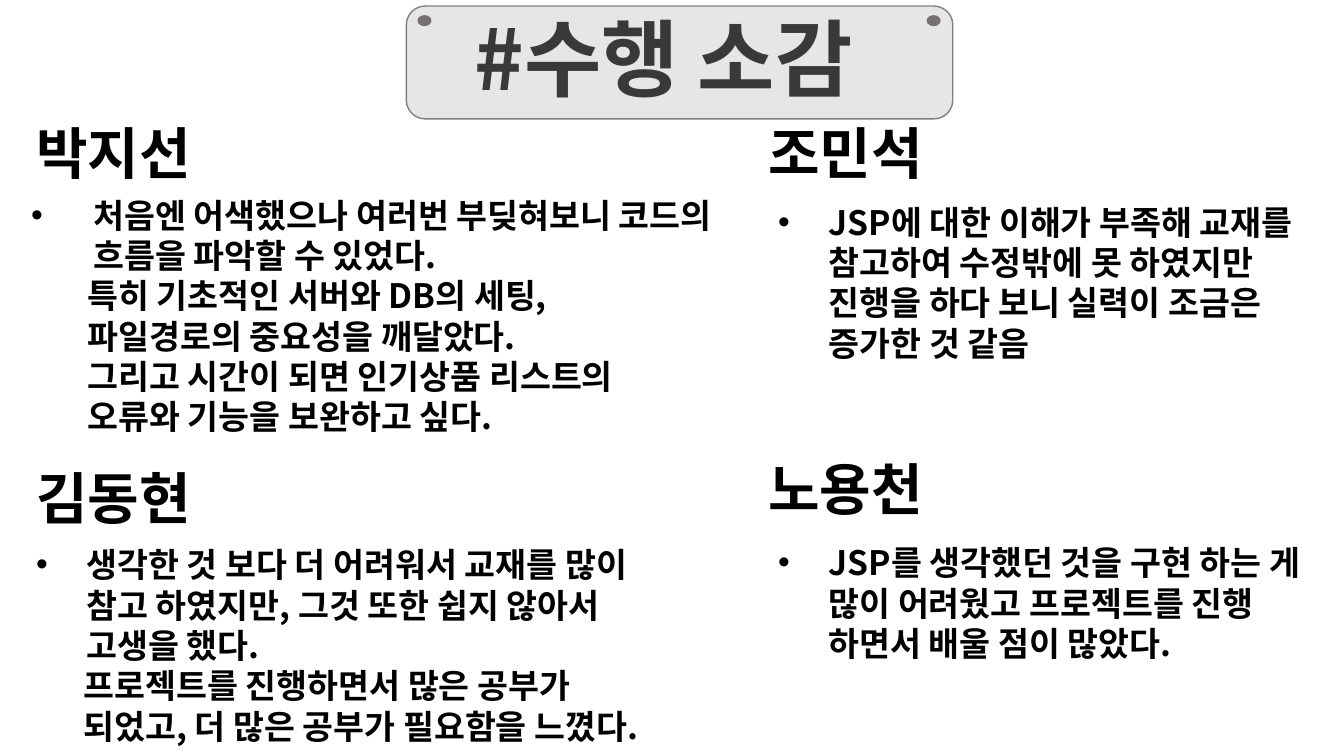
from lxml import etree
from pptx import Presentation
from pptx.dml.color import RGBColor
from pptx.enum.shapes import MSO_SHAPE
from pptx.enum.text import MSO_ANCHOR, MSO_AUTO_SIZE, PP_ALIGN
from pptx.oxml.ns import qn
from pptx.util import Inches, Pt

FONT = "Noto Sans CJK KR"
BLACK = RGBColor(0x00, 0x00, 0x00)
TITLE_GRAY = RGBColor(0x3B, 0x38, 0x38)
PLATE_FILL = RGBColor(0xE7, 0xE6, 0xE6)
PLATE_LINE = RGBColor(0x80, 0x80, 0x80)
PIN_GRAY = RGBColor(0x76, 0x71, 0x71)


class SlideBuilder:
    def __init__(self, slide):
        self.slide = slide

    def add_shape(self, kind, box, fill, line=None):
        shape = self.slide.shapes.add_shape(kind, *map(Inches, box))
        shape.shadow.inherit = False
        shape.fill.solid()
        shape.fill.fore_color.rgb = fill
        if line is None:
            shape.line.fill.background()
        else:
            shape.line.color.rgb = line
            shape.line.width = Pt(1)

    def add_text(self, box, lines, size, color=BLACK, wrap=True):
        text_frame = self.slide.shapes.add_textbox(*map(Inches, box)).text_frame
        text_frame.word_wrap = wrap
        text_frame.auto_size = MSO_AUTO_SIZE.SHAPE_TO_FIT_TEXT
        text_frame.text = "\n".join(lines)
        for paragraph in text_frame.paragraphs:
            for run in paragraph.runs:
                run.font.name = FONT
                run.font.size = Pt(size)
                run.font.bold = True
                run.font.color.rgb = color
                east_asian = etree.SubElement(run.font._element, qn("a:ea"))
                east_asian.set("typeface", FONT)
        return text_frame

    def add_title(self, box, text):
        text_frame = self.add_text(box, [text], 60, TITLE_GRAY)
        text_frame.auto_size = MSO_AUTO_SIZE.NONE
        text_frame.vertical_anchor = MSO_ANCHOR.BOTTOM
        text_frame.paragraphs[0].alignment = PP_ALIGN.CENTER
        text_frame.paragraphs[0].line_spacing = 0.9

    def add_comment(self, box, lines, bullet_indent, plain_indent):
        text_frame = self.add_text(box, lines, 24)
        first, *others = text_frame.paragraphs
        properties = first._p.get_or_add_pPr()
        properties.set("marL", str(Inches(bullet_indent)))
        properties.set("indent", str(-Inches(bullet_indent)))
        bullet_font = etree.SubElement(properties, qn("a:buFont"))
        bullet_font.set("typeface", "Arial")
        etree.SubElement(properties, qn("a:buChar")).set("char", "•")
        for paragraph in others:
            paragraph._p.get_or_add_pPr().set("marL", str(Inches(plain_indent)))


# Name position, name, comment box, bullet indent, plain indent, comment lines
MEMBERS = [
    (0.26, 1.13, "박지선", (0.21, 1.88, 7.02, 2.52), 0.62, 0.56, [
        "처음엔 어색했으나 여러번 부딪혀보니 코드의 흐름을 파악할 수 있었다.",
        "특히 기초적인 서버와 DB의 세팅,",
        "파일경로의 중요성을 깨달았다.",
        "그리고 시간이 되면 인기상품 리스트의",
        "오류와 기능을 보완하고 싶다."]),
    (0.26, 4.55, "김동현", (0.26, 5.35, 6.7, 2.12), 0.5, 0.47, [
        "생각한 것 보다 더 어려워서 교재를 많이 참고 하였지만, "
        "그것 또한 쉽지 않아서 고생을 했다.",
        "프로젝트를 진행하면서 많은 공부가",
        "되었고, 더 많은 공부가 필요함을 느꼈다."]),
    (7.52, 1.13, "조민석", (7.62, 1.95, 5.32, 1.72), 0.5, 0.5, [
        "JSP에 대한 이해가 부족해 교재를 참고하여 수정밖에 못 "
        "하였지만 진행을 하다 보니 실력이 조금은 증가한 것 같음"]),
    (7.52, 4.46, "노용천", (7.62, 5.33, 5.47, 1.31), 0.5, 0.5, [
        "JSP를 생각했던 것을 구현 하는 게 많이 어려웠고 "
        "프로젝트를 진행 하면서 배울 점이 많았다."]),
]


def main():
    presentation = Presentation()
    presentation.slide_width = Inches(13.33)
    presentation.slide_height = Inches(7.5)
    builder = SlideBuilder(
        presentation.slides.add_slide(presentation.slide_layouts[6]))

    # Title plate with two pins
    builder.add_shape(MSO_SHAPE.ROUNDED_RECTANGLE, (4.03, 0.06, 5.42, 1.12),
                      PLATE_FILL, PLATE_LINE)
    for left in (4.14, 9.19):
        builder.add_shape(MSO_SHAPE.OVAL, (left, 0.15, 0.14, 0.11), PIN_GRAY)
    builder.add_title((3.63, -0.01, 5.9, 1.14), "#수행 소감")

    # Members and their comments
    for left, top, name, box, bullet_indent, plain_indent, lines in MEMBERS:
        builder.add_text((left, top, 1.85, 0.77), [name], 40, wrap=False)
        builder.add_comment(box, lines, bullet_indent, plain_indent)

    presentation.save("out.pptx")


if __name__ == "__main__":
    main()
